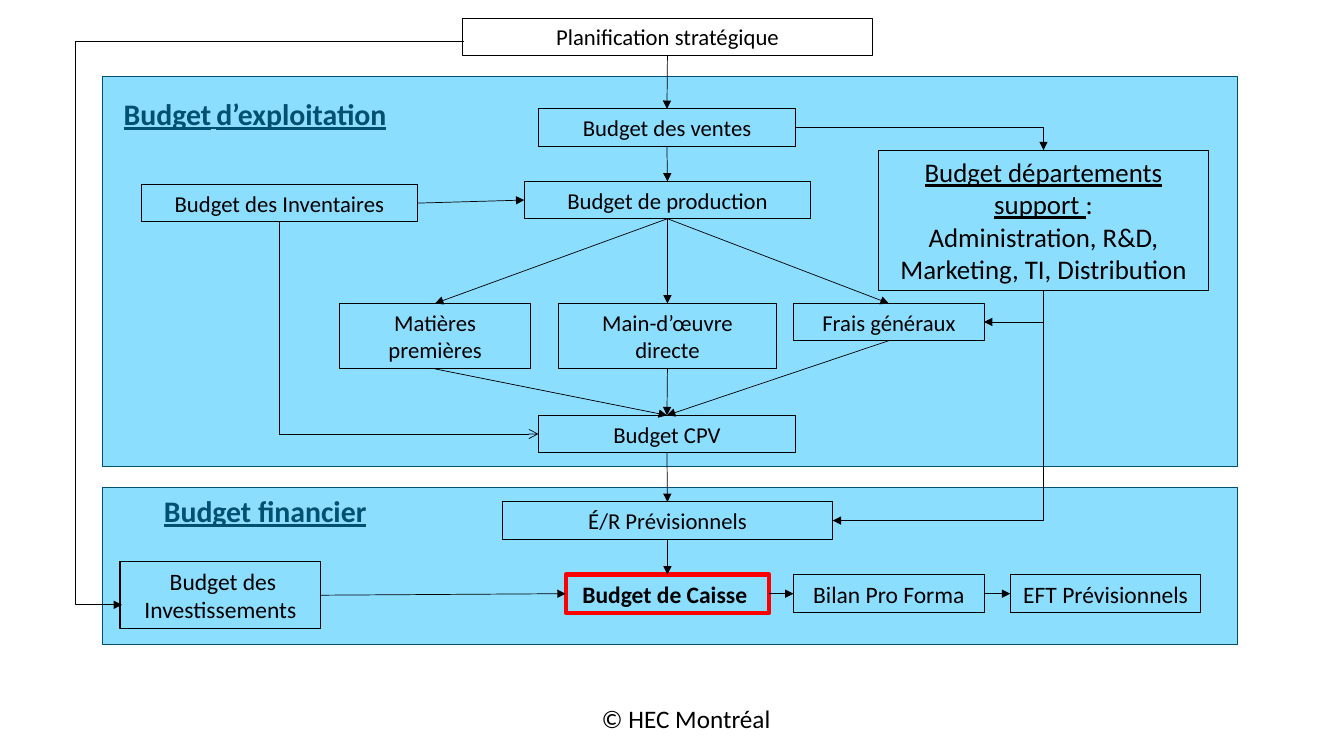
from lxml import etree
from pptx import Presentation
from pptx.dml.color import RGBColor
from pptx.enum.shapes import MSO_CONNECTOR as Link, MSO_SHAPE as Shape
from pptx.enum.text import MSO_ANCHOR as Anchor, PP_ALIGN as Align
from pptx.oxml.ns import qn
from pptx.util import Inches, Pt

FONT = "Calibri"
COLORS = {"black": "000000", "white": "FFFFFF", "panel": "8CDEFF",
          "navy": "005070", "red": "FF0000"}
TOP, LEFT, BOTTOM, RIGHT = range(4)

PANELS = [(1.02, 4.84, 11.25, 1.55), (1.02, 0.76, 11.25, 3.87)]

# name: (left, top, width, height), text size, paragraphs
BOXES = {
    "strategie": ((4.59, 0.18, 4.06, 0.37), 16.2, ["Planification stratégique"]),
    "ventes": ((5.34, 1.08, 2.55, 0.37), 16.2, ["Budget des ventes"]),
    "production": ((5.2, 1.8, 2.84, 0.37), 16.2, ["Budget de production"]),
    "inventaires": ((1.4, 1.83, 2.74, 0.37), 16.2, ["Budget des Inventaires"]),
    "support": ((8.71, 1.49, 3.28, 1.39), 19.2, [
        [("Budget départements support ", {"underline": True}), (":", {})],
        "Administration, R&D, Marketing, TI, Distribution"]),
    "matieres": ((3.37, 3.01, 1.89, 0.65), 16.2, ["Matières premières"]),
    "main": ((5.54, 3.01, 2.16, 0.65), 16.2, ["Main-d’œuvre directe"]),
    "frais": ((7.87, 3.01, 1.89, 0.37), 16.2, ["Frais généraux"]),
    "cpv": ((5.34, 4.12, 2.55, 0.37), 16.2, ["Budget CPV"]),
    "resultats": ((4.98, 4.98, 3.28, 0.37), 16.2, ["É/R Prévisionnels"]),
    "invest": ((1.19, 5.57, 1.99, 0.67), 16.8, [" Budget des Investissements"]),
    "caisse": ((5.61, 5.7, 2.02, 0.38), 16.8, [[("Budget de Caisse ", {"bold": True})]]),
    "bilan": ((7.87, 5.7, 1.89, 0.38), 16.8, ["Bilan Pro Forma"]),
    "eft": ((10.02, 5.7, 1.89, 0.38), 16.8, ["EFT Prévisionnels"]),
}
HIGHLIGHT = "caisse"

TITLE = {"bold": True, "underline": True, "color": "navy"}
LABELS = [
    ((1.02, 0.9, 3.02, 0.46), 21.3, Align.CENTER,
     [("Budget", TITLE), (" ", {**TITLE, "size": 16.2}), ("d’exploitation", TITLE)]),
    ((1.12, 4.84, 3.02, 0.46), 21.3, Align.CENTER, [("Budget financier", TITLE)]),
    ((5.87, 6.93, 1.94, 0.4), 18, Align.LEFT, [("© HEC Montréal", {})]),
]

DOWNWARD = [("strategie", "ventes"), ("ventes", "production"),
            ("production", "matieres"), ("production", "main"), ("production", "frais"),
            ("matieres", "cpv"), ("main", "cpv"), ("frais", "cpv"),
            ("cpv", "resultats"), ("resultats", "caisse")]
RIGHTWARD = [("inventaires", "production"), ("invest", "caisse"),
             ("caisse", "bilan"), ("bilan", "eft")]

# from, side, to, side, arrowhead
CORNERS = [("ventes", RIGHT, "support", TOP, "triangle"),
           ("support", BOTTOM, "resultats", RIGHT, "triangle"),
           ("support", BOTTOM, "frais", RIGHT, "triangle"),
           ("inventaires", BOTTOM, "cpv", LEFT, "arrow")]
LOOP_START, LOOP_END, LOOP_X = (4.6, 0.41), (1.21, 6.0), 0.75


def rgb(name):
    return RGBColor.from_string(COLORS[name])


def write(sp, size, align, paragraphs):
    """Fill a shape; a paragraph is a string or a list of (text, format) runs."""
    tf = sp.text_frame
    tf.word_wrap = True
    tf.vertical_anchor = Anchor.MIDDLE
    for i, runs in enumerate(paragraphs):
        p = tf.add_paragraph() if i else tf.paragraphs[0]
        p.alignment = align
        for text, style in [(runs, {})] if isinstance(runs, str) else runs:
            r = p.add_run()
            r.text = text
            r.font.name = FONT
            r.font.size = Pt(style.get("size", size))
            r.font.bold = style.get("bold", False)
            r.font.underline = style.get("underline", False)
            r.font.color.rgb = rgb(style.get("color", "black"))


def rectangle(shapes, bounds, line, width=0.75, fill=None):
    sp = shapes.add_shape(Shape.RECTANGLE, *map(Inches, bounds))
    sp.shadow.inherit = False
    if fill:
        sp.fill.solid()
        sp.fill.fore_color.rgb = rgb(fill)
    else:
        sp.fill.background()
    sp.line.color.rgb = rgb(line)
    sp.line.width = Pt(width)
    return sp


def side_middle(name, side):
    x, y, w, h = BOXES[name][0]
    return [(x + w / 2, y), (x, y + h / 2), (x + w / 2, y + h), (x + w, y + h / 2)][side]


def arrow(shapes, kind, start, end, head="triangle"):
    cn = shapes.add_connector(kind, *map(Inches, (*start, *end)))
    cn.line.color.rgb = rgb("black")
    cn.line.width = Pt(0.5)
    etree.SubElement(cn.line._get_or_add_ln(), qn("a:tailEnd"), type=head)
    etree.SubElement(cn._element.spPr, qn("a:effectLst"))
    return cn


def straight(shapes, boxes, start, start_side, end, end_side):
    cn = arrow(shapes, Link.STRAIGHT, side_middle(start, start_side), side_middle(end, end_side))
    cn.begin_connect(boxes[start], start_side)
    cn.end_connect(boxes[end], end_side)


def corner(shapes, start, start_side, end, end_side, head):
    """Draw an arrow with one right-angle turn."""
    (x1, y1), (x2, y2) = side_middle(start, start_side), side_middle(end, end_side)
    cn = arrow(shapes, Link.ELBOW, (x1, y1), (x2, y2), head)
    cn._element.spPr.find(qn("a:prstGeom")).set("prst", "bentConnector2")
    if start_side != BOTTOM:
        return
    # Going down first: turn the frame a quarter about its centre.
    w, h = abs(y2 - y1), abs(x2 - x1)
    cn.left, cn.top = Inches((x1 + x2 - w) / 2), Inches((y1 + y2 - h) / 2)
    cn.width, cn.height = Inches(w), Inches(h)
    xfrm = cn._element.spPr.find(qn("a:xfrm"))
    xfrm.attrib.pop("flipH", None)
    xfrm.set("rot", str((90 if x2 < x1 else 270) * 60000))
    if x2 > x1:
        xfrm.set("flipH", "1")


def loop(shapes):
    """Draw the arrow that runs round the left edge of the panels."""
    cn = arrow(shapes, Link.ELBOW, LOOP_START, LOOP_END)
    bend = (LOOP_START[0] - LOOP_X) / (LOOP_START[0] - LOOP_END[0])
    guides = cn._element.spPr.find(qn("a:prstGeom")).find(qn("a:avLst"))
    etree.SubElement(guides, qn("a:gd"), name="adj1", fmla=f"val {round(bend * 100000)}")


def main():
    prs = Presentation()
    prs.slide_width, prs.slide_height = Inches(13.33), Inches(7.5)
    s = prs.slides.add_slide(prs.slide_layouts[6])
    s.background.fill.solid()
    s.background.fill.fore_color.rgb = rgb("white")
    shapes = s.shapes

    for bounds in PANELS:
        rectangle(shapes, bounds, "navy", fill="panel")
    boxes = {}
    for name, (bounds, size, paragraphs) in BOXES.items():
        line, width = ("red", 3) if name == HIGHLIGHT else ("black", 0.75)
        boxes[name] = rectangle(shapes, bounds, line, width)
        write(boxes[name], size, Align.CENTER, paragraphs)
    for bounds, size, align, runs in LABELS:
        write(shapes.add_textbox(*map(Inches, bounds)), size, align, [runs])

    for start, end in DOWNWARD:
        straight(shapes, boxes, start, BOTTOM, end, TOP)
    for start, end in RIGHTWARD:
        straight(shapes, boxes, start, RIGHT, end, LEFT)
    for link in CORNERS:
        corner(shapes, *link)
    loop(shapes)
    prs.save("out.pptx")


if __name__ == "__main__":
    main()
